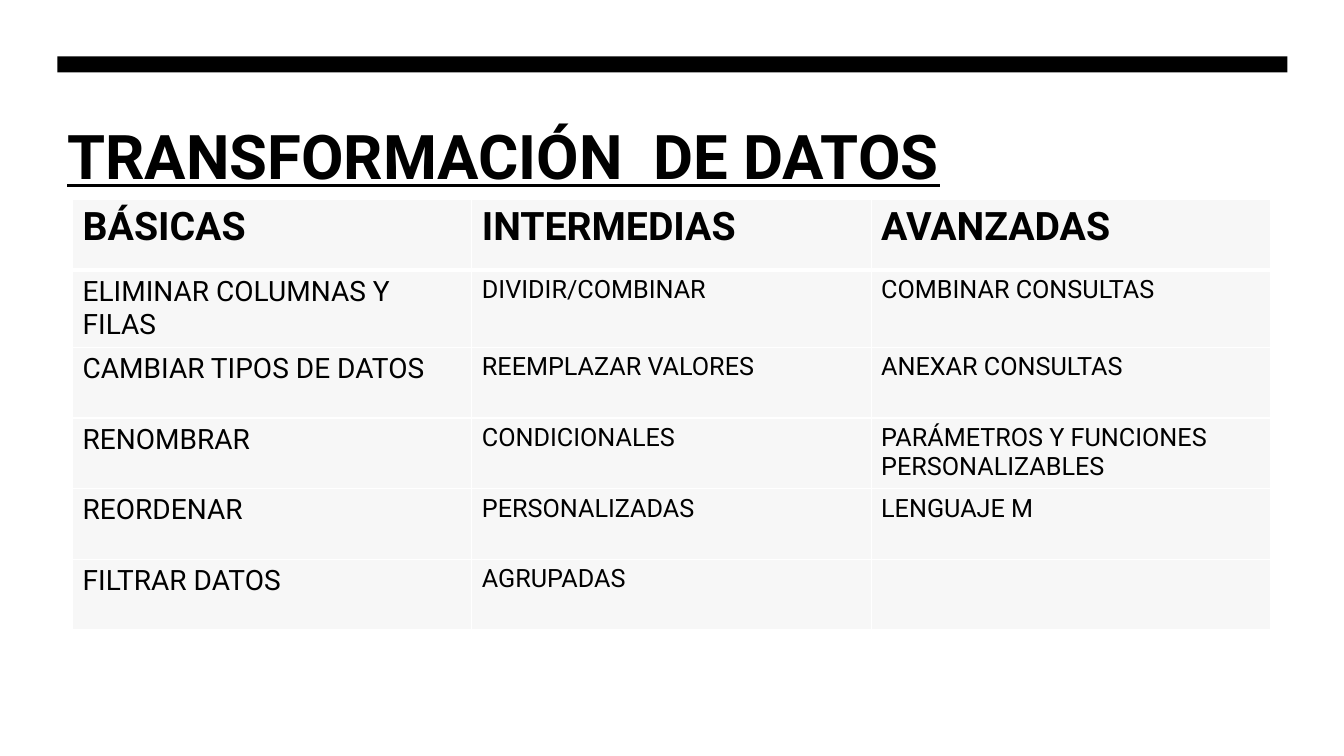
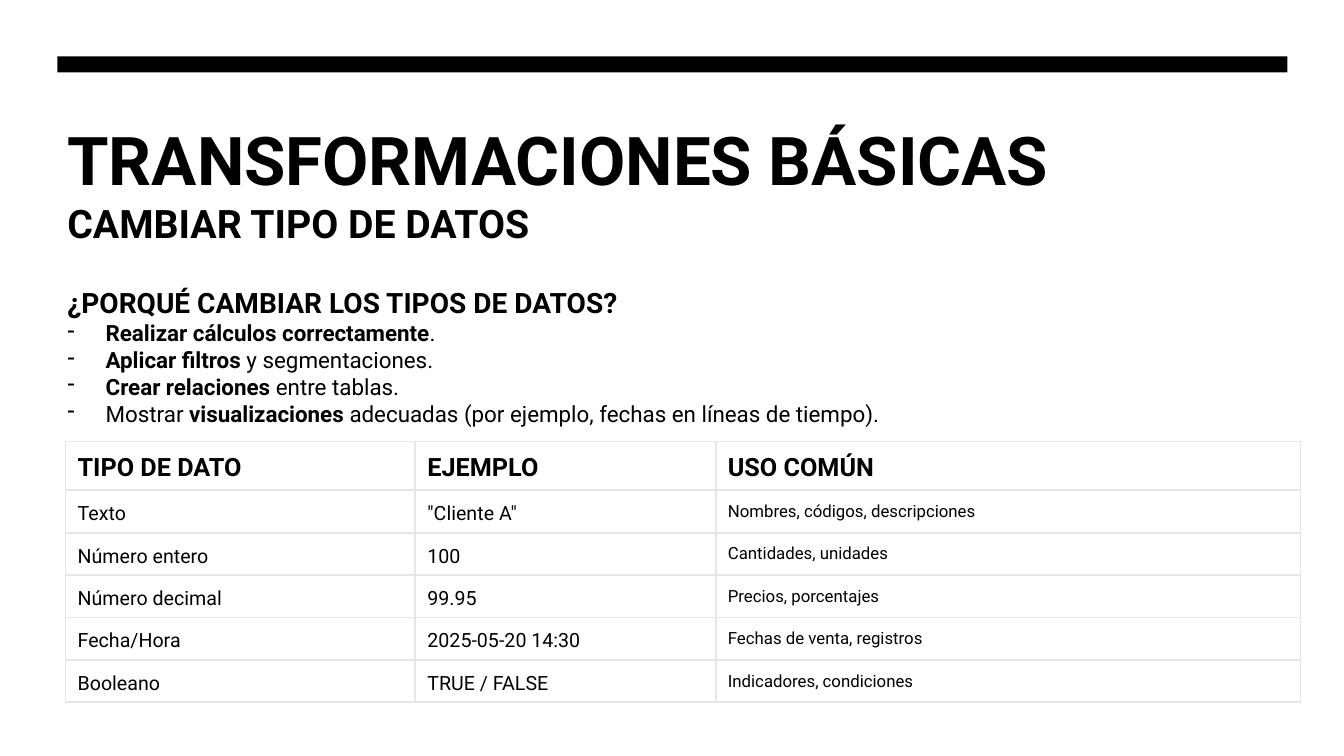
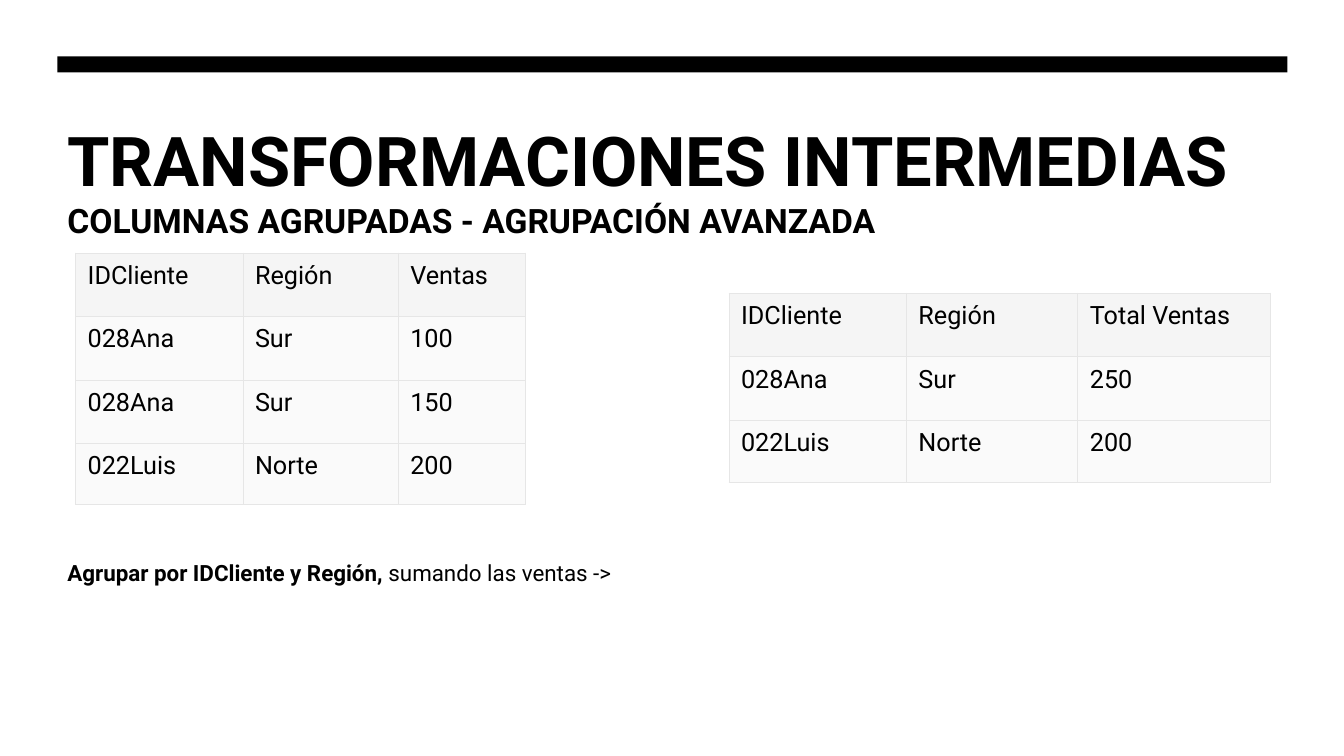
from dataclasses import dataclass

from lxml.etree import SubElement
from pptx import Presentation
from pptx.dml.color import RGBColor
from pptx.enum.shapes import MSO_SHAPE
from pptx.oxml.ns import qn
from pptx.util import Inches, Pt


@dataclass(frozen=True)
class Theme:
    font: str = "Roboto"
    ink: str = "000000"
    white: str = "FFFFFF"
    border: str = "E6E6E6"
    panel: str = "F7F7F7"
    header: str = "F5F5F5"
    row: str = "FAFAFA"
    title_small: int = 44
    title: int = 48
    title_large: int = 49
    heading: int = 28
    subheading: int = 24
    question: int = 20
    body: int = 16
    cell_large: int = 20
    cell: int = 18
    cell_small: int = 14
    cell_tiny: int = 12


theme = Theme()


def write_paragraph(paragraph, runs, size, underline=None, **spacing):
    """Fill a paragraph with (text, bold) runs of one size."""
    for name, value in spacing.items():
        setattr(paragraph, name, value)
    for text, bold in runs:
        run = paragraph.add_run()
        run.text = text
        font_format = {"name": theme.font, "size": Pt(size), "bold": bold, "underline": underline}
        for name, value in font_format.items():
            setattr(run.font, name, value)
        run.font.color.rgb = RGBColor.from_string(theme.ink)


def add_grid(slide, place, widths, heights, rows, sizes, fills, border, border_width,
             header_size=theme.cell, header_bold=True, header_rule=None,
             insets=(0.12, 0.08, 0.08, 0.07), line_spacing=None):
    """Add a table; sizes and line_spacing go by column, fills are (header, body)."""
    frame = slide.shapes.add_table(len(rows), len(widths), Inches(place[0]), Inches(place[1]),
                                   Inches(sum(widths)), Inches(sum(heights)))
    table = frame.table
    table.first_row = table.horz_banding = False
    for column, width in zip(table.columns, widths):
        column.width = Inches(width)
    for row, height in zip(table.rows, heights):
        row.height = Inches(height)

    for row_index, texts in enumerate(rows):
        is_header = row_index == 0
        for column_index, text in enumerate(texts):
            cell = table.cell(row_index, column_index)
            for side, inset in zip(("left", "top", "right", "bottom"), insets):
                setattr(cell, f"margin_{side}", Inches(inset))
            for side in "LRTB":
                under_header = (row_index, side) in ((0, "B"), (1, "T"))
                width = header_rule if header_rule and under_header else border_width
                line = SubElement(cell._tc.get_or_add_tcPr(), qn(f"a:ln{side}"), w=str(Pt(width)))
                SubElement(SubElement(line, qn("a:solidFill")), qn("a:srgbClr"), val=border)
            fill = fills[0] if is_header else fills[1]
            if fill:
                cell.fill.solid()
                cell.fill.fore_color.rgb = RGBColor.from_string(fill)
            else:
                cell.fill.background()
            if text:
                spacing = {}
                if line_spacing:
                    points = line_spacing["header"] if is_header else line_spacing["body"][column_index]
                    spacing["line_spacing"] = Pt(points)
                write_paragraph(cell.text_frame.paragraphs[0], [(text, is_header and header_bold)],
                                header_size if is_header else sizes[column_index], **spacing)


sales_style = {
    "sizes": [theme.cell] * 3, "fills": (theme.header, theme.row),
    "border": theme.border, "border_width": 0.75, "header_bold": False,
}
bullet = {"bullet": "-"}

slides = [
    {
        "title": ("TRANSFORMACIÓN  DE DATOS", theme.title_small, True),
        "tables": [{
            "place": (0.72, 1.98), "widths": [3.96] * 3, "heights": [0.7] * 6,
            "rows": [
                ("BÁSICAS", "INTERMEDIAS", "AVANZADAS"),
                ("ELIMINAR COLUMNAS Y FILAS", "DIVIDIR/COMBINAR", "COMBINAR CONSULTAS"),
                ("CAMBIAR TIPOS DE DATOS", "REEMPLAZAR VALORES", "ANEXAR CONSULTAS"),
                ("RENOMBRAR", "CONDICIONALES", "PARÁMETROS Y FUNCIONES PERSONALIZABLES"),
                ("REORDENAR", "PERSONALIZADAS", "LENGUAJE M"),
                ("FILTRAR DATOS", "AGRUPADAS", ""),
            ],
            "sizes": [theme.cell_large, theme.cell, theme.cell],
            "fills": (theme.panel, theme.panel), "border": theme.white, "border_width": 1,
            "header_size": theme.heading, "header_rule": 3, "insets": (0.1, 0.05, 0.1, 0.05),
        }],
    },
    {
        "title": ("TRANSFORMACIONES BÁSICAS", theme.title, None),
        "body_height": 2.69,
        "body": [
            ([("CAMBIAR TIPO DE DATOS", True)], theme.heading, {}),
            ([("¿PORQUÉ CAMBIAR LOS TIPOS DE DATOS?", True)], theme.question, {"space_before": Pt(28)}),
            ([("Realizar cálculos correctamente", True), (".", False)], theme.body, bullet),
            ([("Aplicar filtros", True), (" y segmentaciones.", False)], theme.body, bullet),
            ([("Crear relaciones", True), (" entre tablas.", False)], theme.body, bullet),
            ([("Mostrar ", False), ("visualizaciones ", True),
              ("adecuadas (por ejemplo, fechas en líneas de tiempo).", False)], theme.body, bullet),
        ],
        "tables": [{
            "place": (0.65, 4.38), "widths": [3.47, 2.98, 5.8], "heights": [0.41] * 5 + [0.4],
            "rows": [
                ("TIPO DE DATO", "EJEMPLO", "USO COMÚN"),
                ("Texto", '"Cliente A"', "Nombres, códigos, descripciones"),
                ("Número entero", "100", "Cantidades, unidades"),
                ("Número decimal", "99.95", "Precios, porcentajes"),
                ("Fecha/Hora", "2025-05-20 14:30", "Fechas de venta, registros"),
                ("Booleano", "TRUE / FALSE", "Indicadores, condiciones"),
            ],
            "sizes": [theme.cell_small, theme.cell_small, theme.cell_tiny],
            "fills": (None, None), "border": theme.border, "border_width": 1.44,
            "line_spacing": {"header": 24, "body": [19.5, 19.5, 16.5]},
        }],
    },
    {
        "title": ("TRANSFORMACIONES INTERMEDIAS", theme.title_large, None),
        "body_height": 4.01,
        "body": [
            ([("COLUMNAS AGRUPADAS - AGRUPACIÓN AVANZADA", True)], theme.subheading, {}),
            ([("Agrupar por IDCliente y Región, ", True), ("sumando las ventas ->", False)],
             theme.body, {"space_before": Pt(228)}),
        ],
        "tables": [
            {
                "place": (0.75, 2.51), "widths": [1.66, 1.54, 1.26], "heights": [0.63] * 3 + [0.6],
                "rows": [
                    ("IDCliente", "Región", "Ventas"),
                    ("028Ana", "Sur", "100"),
                    ("028Ana", "Sur", "150"),
                    ("022Luis", "Norte", "200"),
                ],
                **sales_style,
            },
            {
                "place": (7.23, 2.91), "widths": [1.76, 1.7, 1.91], "heights": [0.63, 0.63, 0.62],
                "rows": [
                    ("IDCliente", "Región", "Total Ventas"),
                    ("028Ana", "Sur", "250"),
                    ("022Luis", "Norte", "200"),
                ],
                **sales_style,
            },
        ],
    },
]

presentation = Presentation()
presentation.slide_width = Inches(13.33)
presentation.slide_height = Inches(7.5)
blank_layout = presentation.slide_layouts[6]

for content in slides:
    slide = presentation.slides.add_slide(blank_layout)
    bar = slide.shapes.add_shape(MSO_SHAPE.RECTANGLE, Inches(0.57), Inches(0.56), Inches(12.2), Inches(0.16))
    bar.shadow.inherit = False
    bar.fill.solid()
    bar.fill.fore_color.rgb = RGBColor.from_string(theme.ink)
    bar.line.fill.background()

    title, title_size, underline = content["title"]
    text_blocks = [(1.07, 0.82, [([(title, True)], title_size, {"underline": underline})])]
    if "body" in content:
        text_blocks.append((1.88, content["body_height"], content["body"]))

    for top, height, paragraphs in text_blocks:
        box = slide.shapes.add_textbox(Inches(0.57), Inches(top), Inches(12.2), Inches(height))
        text_frame = box.text_frame
        text_frame.word_wrap = True
        for side in ("left", "top", "right", "bottom"):
            setattr(text_frame, f"margin_{side}", Inches(0.1))
        for index, (runs, size, options) in enumerate(paragraphs):
            paragraph = text_frame.add_paragraph() if index else text_frame.paragraphs[0]
            if "bullet" in options:
                properties = paragraph._p.get_or_add_pPr()
                properties.set("marL", str(Inches(0.38)))
                properties.set("indent", str(-Inches(0.38)))
                SubElement(properties, qn("a:buChar"), char=options["bullet"])
                options = {}
            write_paragraph(paragraph, runs, size, **options)

    for table_format in content["tables"]:
        add_grid(slide, **table_format)

presentation.save("out.pptx")
